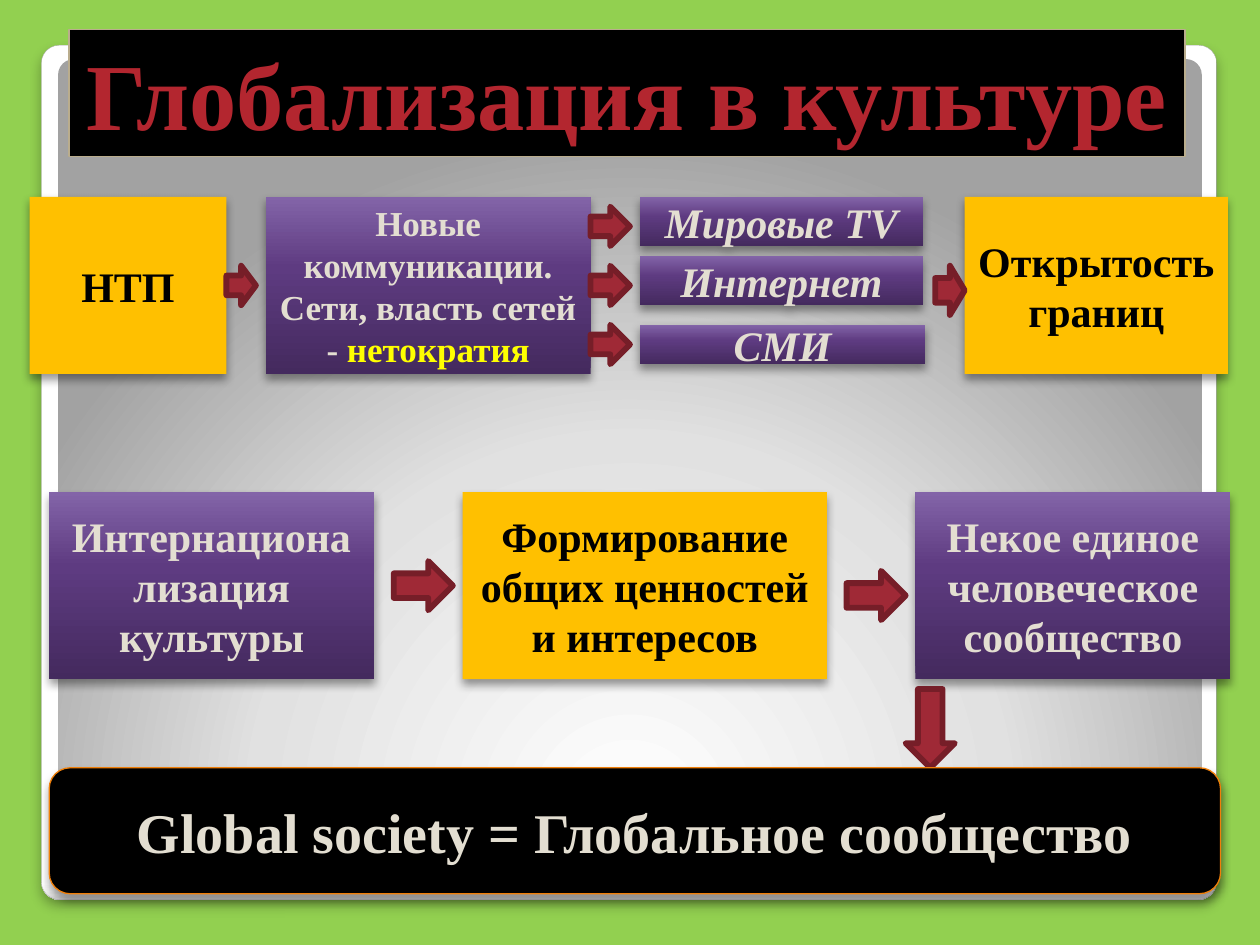
from dataclasses import dataclass

from lxml import etree
from pptx import Presentation
from pptx.dml.color import RGBColor
from pptx.enum.shapes import MSO_SHAPE
from pptx.enum.text import MSO_ANCHOR, MSO_AUTO_SIZE, PP_ALIGN
from pptx.oxml.ns import qn
from pptx.util import Inches, Pt

RECT, ROUNDED = MSO_SHAPE.RECTANGLE, MSO_SHAPE.ROUNDED_RECTANGLE
ARROW = MSO_SHAPE.RIGHT_ARROW
CENTER = PP_ALIGN.CENTER
TOP, MIDDLE = MSO_ANCHOR.TOP, MSO_ANCHOR.MIDDLE
FIT_SHAPE = MSO_AUTO_SIZE.SHAPE_TO_FIT_TEXT

UNIT = 10 / 128  # the slide is a grid of 128 columns by 96 rows


@dataclass(frozen=True)
class Theme:
    font: str = "Times New Roman"
    page: str = "92D050"
    black: str = "000000"
    cream: str = "E3DED1"
    amber: str = "FFC000"
    highlight: str = "FFFF00"
    title: str = "B3262F"
    title_edge: str = "BAAD8D"
    result_edge: str = "F07F09"
    frame_edge: str = "A4A4A4"
    arrow: str = "9F2936"
    arrow_edge: str = "761E28"
    violet: tuple = ((0, "442A5E"), (60, "5E3B81"), (100, "8364A8"))
    frame: tuple = ((0, "FFFFFF"), (98, "FFFFFF"), (99, "F7F7F7"), (100, "DADADA"))
    panel: tuple = ((0, "FFFFFF"), (55, "E1E1E1"), (100, "A2A2A2"))
    title_size: int = 54
    result_size: int = 32
    box_size: int = 24
    small_size: int = 20


THEME = Theme()


def place(box, dx, dy, width, height):
    """Box at an offset inside another box, all in grid units."""
    return box[0] + dx, box[1] + dy, width, height


def inches(box):
    return [Inches(value * UNIT) for value in box]


def paint(fill, color):
    fill.solid()
    fill.fore_color.rgb = RGBColor.from_string(color)


def outline(shape, color, width):
    paint(shape.line.fill, color)
    shape.line.width = Pt(width)


def paint_gradient(shape, stops, angle=None, focus=None):
    """Linear gradient by angle, or circular around a focus (l, t, r, b in %)."""
    shape.fill.background()
    old_fill = shape.element.spPr.find(qn("a:noFill"))
    gradient = etree.Element(qn("a:gradFill"), rotWithShape="1")
    stop_list = etree.SubElement(gradient, qn("a:gsLst"))
    for position, color in stops:
        stop = etree.SubElement(stop_list, qn("a:gs"), pos=str(position * 1000))
        etree.SubElement(stop, qn("a:srgbClr"), val=color)
    if focus:
        circle = etree.SubElement(gradient, qn("a:path"), path="circle")
        sides = {side: str(share * 1000) for side, share in zip("ltrb", focus)}
        etree.SubElement(circle, qn("a:fillToRect"), **sides)
    else:
        etree.SubElement(gradient, qn("a:lin"), ang=str(angle * 60000), scaled="0")
    old_fill.getparent().replace(old_fill, gradient)


def cast_shadow(shape, opacity=40, blur=5.2, distance=3):
    effects = shape.element.spPr.find(qn("a:effectLst"))
    shadow = etree.SubElement(
        effects, qn("a:outerShdw"), blurRad=str(Pt(blur)), dist=str(Pt(distance)),
        dir="5400000", algn="ctr", rotWithShape="0")
    color = etree.SubElement(shadow, qn("a:srgbClr"), val=THEME.black)
    etree.SubElement(color, qn("a:alpha"), val=str(opacity * 1000))


def add_plain(slide, preset, box):
    shape = slide.shapes.add_shape(preset, *inches(box))
    shape.shadow.inherit = False
    shape.line.fill.background()
    return shape


def write(shape, text, size, color, anchor=MIDDLE, italic=False, accent=""):
    frame = shape.text_frame
    frame.vertical_anchor = anchor
    paragraph = frame.paragraphs[0]
    paragraph.alignment = CENTER
    font = paragraph.font
    font.name, font.size = THEME.font, Pt(size)
    font.bold, font.italic = True, italic
    paint(font.fill, color)
    paragraph.add_run().text = text
    for run in paragraph.runs:
        paint(run.font.fill, color)
    if accent:
        accent_run = paragraph.add_run()
        accent_run.text = accent
        paint(accent_run.font.fill, THEME.highlight)


def add_amber_box(slide, box, text):
    shape = add_plain(slide, RECT, box)
    paint(shape.fill, THEME.amber)
    cast_shadow(shape)
    write(shape, text, THEME.box_size, THEME.black)


def add_violet_box(slide, box, text, size=THEME.box_size, **style):
    shape = add_plain(slide, RECT, box)
    paint_gradient(shape, THEME.violet, angle=270)
    cast_shadow(shape)
    write(shape, text, size, THEME.cream, **style)


def add_arrow(slide, box, rotation=0):
    arrow = add_plain(slide, ARROW, box)
    paint(arrow.fill, THEME.arrow)
    outline(arrow, THEME.arrow_edge, 3.35)
    arrow.rotation = rotation


def add_backdrop(slide, box):
    paint(slide.background.fill, THEME.page)
    frame = add_plain(slide, ROUNDED, box)
    paint_gradient(frame, THEME.frame, angle=90)
    outline(frame, THEME.frame_edge, 0.16)
    cast_shadow(frame, opacity=25, blur=6, distance=4)
    panel = add_plain(slide, ROUNDED, place(box, 1.7, 1.4, 116.2, 76.8))
    paint_gradient(panel, THEME.panel, focus=(50, 175, 50, -75))
    for shape in (frame, panel):
        shape.adjustments[0] = 0.021


def add_causes(slide, box):
    height = box[3]
    add_amber_box(slide, place(box, 0, 0, 20, height), "НТП")
    add_amber_box(slide, place(box, 95, 0, 26.75, height), "Открытость границ")
    add_violet_box(slide, place(box, 24, 0, 33, height),
                   "Новые коммуникации. Сети, власть сетей - ",
                   THEME.small_size, accent="нетократия")
    # Channels of communication
    channels = (("Мировые ТV", 0, 28.75, 5), ("Интернет", 6, 28.75, 5),
                ("СМИ", 13, 29, 4))
    for index, (name, row, width, rows) in enumerate(channels):
        add_violet_box(slide, place(box, 62, row, width, rows), name, italic=True)
        add_arrow(slide, place(box, 57, 1 + 6 * index, 4, 4))
    add_arrow(slide, place(box, 20, 7, 3, 4))
    add_arrow(slide, place(box, 92, 7, 3, 5))


def add_effects(slide, box):
    height = box[3]
    add_violet_box(slide, place(box, 0, 0, 33, height), "Интернационализация культуры")
    add_amber_box(slide, place(box, 42, 0, 37, height),
                  "Формирование общих ценностей и интересов")
    add_violet_box(slide, place(box, 88, 0, 32, height),
                   "Некое единое человеческое сообщество")
    add_arrow(slide, place(box, 35, 7, 6, 5))
    add_arrow(slide, place(box, 81, 8, 6, 5))
    add_arrow(slide, place(box, 85.5, 21.5, 8, 5), rotation=90)


def add_result(slide, box):
    result = add_plain(slide, ROUNDED, box)
    paint(result.fill, THEME.black)
    outline(result, THEME.result_edge, 0.75)
    cast_shadow(result)
    write(result, "Global society = Глобальное сообщество", THEME.result_size, THEME.cream)


def add_title(slide, box):
    title = slide.shapes.title
    title.left, title.top, title.width, title.height = inches(box)
    paint(title.fill, THEME.black)
    outline(title, THEME.title_edge, 0.75)
    write(title, "Глобализация в культуре", THEME.title_size, THEME.title, TOP)
    title.text_frame.word_wrap = False
    title.text_frame.auto_size = FIT_SHAPE
    title.element.getparent().append(title.element)  # bring to front


def main():
    deck = Presentation()
    deck.slide_width, deck.slide_height = Inches(10), Inches(7.5)
    slide = deck.slides.add_slide(deck.slide_layouts[5])
    add_backdrop(slide, (4.2, 4.6, 119.4, 86.8))
    add_causes(slide, (3, 20, 121.75, 18))
    add_effects(slide, (5, 50, 120, 19))
    add_result(slide, (5, 78, 119, 12.8))
    add_title(slide, (7, 3, 113.4, 12.93))
    deck.save("out.pptx")


if __name__ == "__main__":
    main()
